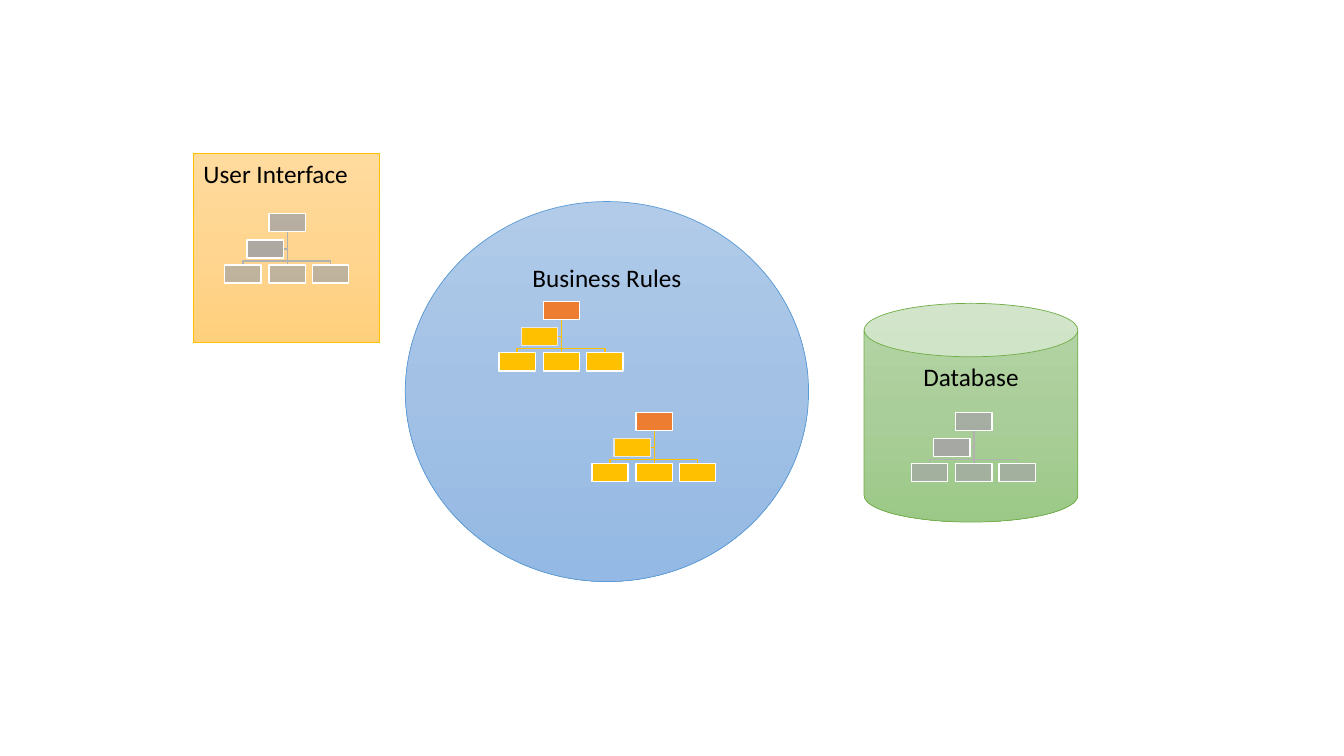
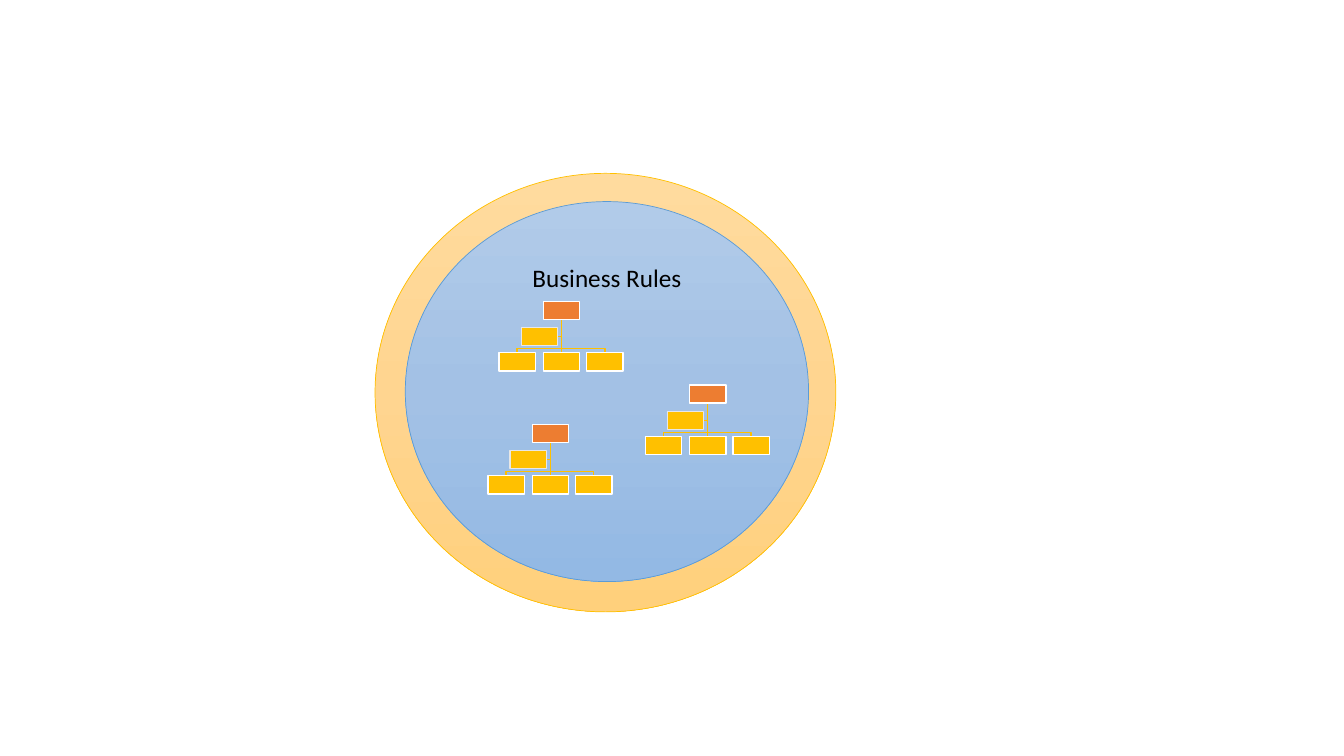
import copy
import itertools

import lxml.etree
import pptx
import pptx.dml.color
import pptx.enum.shapes
import pptx.enum.text
import pptx.oxml.ns
import pptx.util

SCALE = 9144
SHAPES = pptx.enum.shapes.MSO_SHAPE
ALIGN = pptx.enum.text.PP_ALIGN
ORANGE = {"stops": ("FFDB9E", "FFD590", "FFD07C"), "line": "FFC000"}
BLUE = {"stops": ("B1CBE9", "A3C1E5", "93B9E4"), "line": "5B9BD5"}
GREEN = {"stops": ("B5D5A7", "AACE9A", "9CC987"), "line": "70AD47"}
VIVID = {
    "branch": "FFC000",
    "root": ("ED7D31", 100, "FFFFFF"),
    "child": ("FFC000", 100, "FFFFFF"),
    "assistant": ("FFC000", 100, "E7E7E7"),
}
MUTED = {
    "branch": "B1B1B1",
    "root": ("A5A5A5", 80, "FFFFFF"),
    "child": ("A5A5A5", 70, "FFFFFF"),
    "assistant": ("A5A5A5", 90, "FFFFFF"),
}
NODE_SIZE = (36, 18)
CHILD_LEFTS = (0, 44, 87)
CHILD_TOP = 51
RULES_BOX = (402, 200, 400, 377)


def px(*lengths):
    return [pptx.util.Emu(length * SCALE) for length in lengths]


def rgb(value):
    return pptx.dml.color.RGBColor.from_string(value)


def apply_format(target, values):
    for name, value in values.items():
        setattr(target, name, value)


def set_line(shape, colour, width):
    shape.line.color.rgb = rgb(colour)
    shape.line.width = pptx.util.Pt(width)


def add_gradient_shape(page, kind, box, theme):
    shape = page.shapes.add_shape(kind, *px(*box))
    shape.shadow.inherit = False
    set_line(shape, theme["line"], 0.5)
    shape.fill.gradient()
    shape.fill.gradient_angle = 270
    stop_list = next(shape._element.iter(pptx.oxml.ns.qn("a:gsLst")))
    stop_list.insert(1, copy.deepcopy(stop_list[0]))
    stops = zip(shape.fill.gradient_stops, (0, 0.5, 1), theme["stops"])
    for stop, position, colour in stops:
        apply_format(stop, {"position": position})
        stop.color.rgb = rgb(colour)
    return shape


def add_label(shape, text, alignment):
    frame = shape.text_frame
    apply_format(frame, {
        "word_wrap": True,
        "vertical_anchor": pptx.enum.text.MSO_ANCHOR.TOP,
    })
    para = frame.paragraphs[0]
    para.alignment = alignment
    span = para.add_run()
    span.text = text
    apply_format(span.font, {"name": "Calibri", "size": pptx.util.Pt(18)})
    span.font.color.rgb = rgb("000000")


def add_node(group, left, top, style):
    colour, opacity, border = style
    node = group.shapes.add_shape(SHAPES.RECTANGLE, *px(left, top, *NODE_SIZE))
    node.shadow.inherit = False
    node.fill.solid()
    node.fill.fore_color.rgb = rgb(colour)
    if opacity < 100:
        solid = node._element.spPr.find(pptx.oxml.ns.qn("a:solidFill"))
        alpha = lxml.etree.SubElement(solid[0], pptx.oxml.ns.qn("a:alpha"))
        alpha.set("val", str(opacity * 1000))
    set_line(node, border, 1)


def add_elbow(group, points, colour):
    builder = group.shapes.build_freeform(*points[0], scale=SCALE)
    builder.add_line_segments(points[1:], close=False)
    elbow = builder.convert_to_shape()
    elbow.shadow.inherit = False
    elbow.fill.background()
    set_line(elbow, colour, 1)


def add_trunk(group, start, end, colour):
    trunk = group.shapes.add_connector(
        pptx.enum.shapes.MSO_CONNECTOR.STRAIGHT, *px(*start, *end))
    lxml.etree.SubElement(trunk._element.spPr, pptx.oxml.ns.qn("a:effectLst"))
    set_line(trunk, colour, 1)


def add_hierarchy(page, left, top, theme):
    group = page.shapes.add_group_shape()
    width, height = NODE_SIZE
    centres = [left + child + width // 2 for child in CHILD_LEFTS]
    middle = centres[1]
    start, end = top + height, top + CHILD_TOP
    side = start + 17
    branch = theme["branch"]
    add_elbow(group, [(middle, start), (middle, side), (middle - 4, side)], branch)
    add_trunk(group, (middle, start), (middle, end), branch)
    for centre in (centres[2], centres[0]):
        points = [(middle, start), (middle, end - 4), (centre, end - 4), (centre, end)]
        add_elbow(group, points, branch)
    add_node(group, left + CHILD_LEFTS[1], top, theme["root"])
    for child in CHILD_LEFTS:
        add_node(group, left + child, end, theme["child"])
    add_node(group, left + 22, top + 26, theme["assistant"])


def add_region(page, kind, box, colours, text, alignment, theme, offsets):
    shape = add_gradient_shape(page, kind, box, colours)
    add_label(shape, text, alignment)
    for across, down in offsets:
        add_hierarchy(page, box[0] + across, box[1] + down, theme)


def add_rules(page, box, offsets):
    add_region(page, SHAPES.OVAL, box, BLUE, "Business Rules",
               ALIGN.CENTER, VIVID, offsets)


def add_database(page, box):
    add_region(page, SHAPES.CAN, box, GREEN, "Database",
               ALIGN.CENTER, MUTED, [(47, 108)])


def add_interface(page, box):
    add_region(page, SHAPES.RECTANGLE, box, ORANGE, "User Interface",
               ALIGN.LEFT, MUTED, [(31, 60)])


def build_layers(page):
    add_database(page, (857, 301, 212, 217))
    add_rules(page, RULES_BOX, [(93, 99), (185, 209)])
    add_interface(page, (192, 152, 184, 188))


def build_shell(page):
    add_gradient_shape(page, SHAPES.OVAL, (372, 172, 457, 435), ORANGE)
    add_rules(page, RULES_BOX, [(93, 99), (238, 182), (82, 221)])


def main():
    deck = pptx.Presentation()
    deck.slide_width, deck.slide_height = px(1333, 750)
    for build in (build_layers, build_shell):
        build(deck.slides.add_slide(deck.slide_layouts[6]))
    deck.save("out.pptx")


if __name__ == "__main__":
    main()
